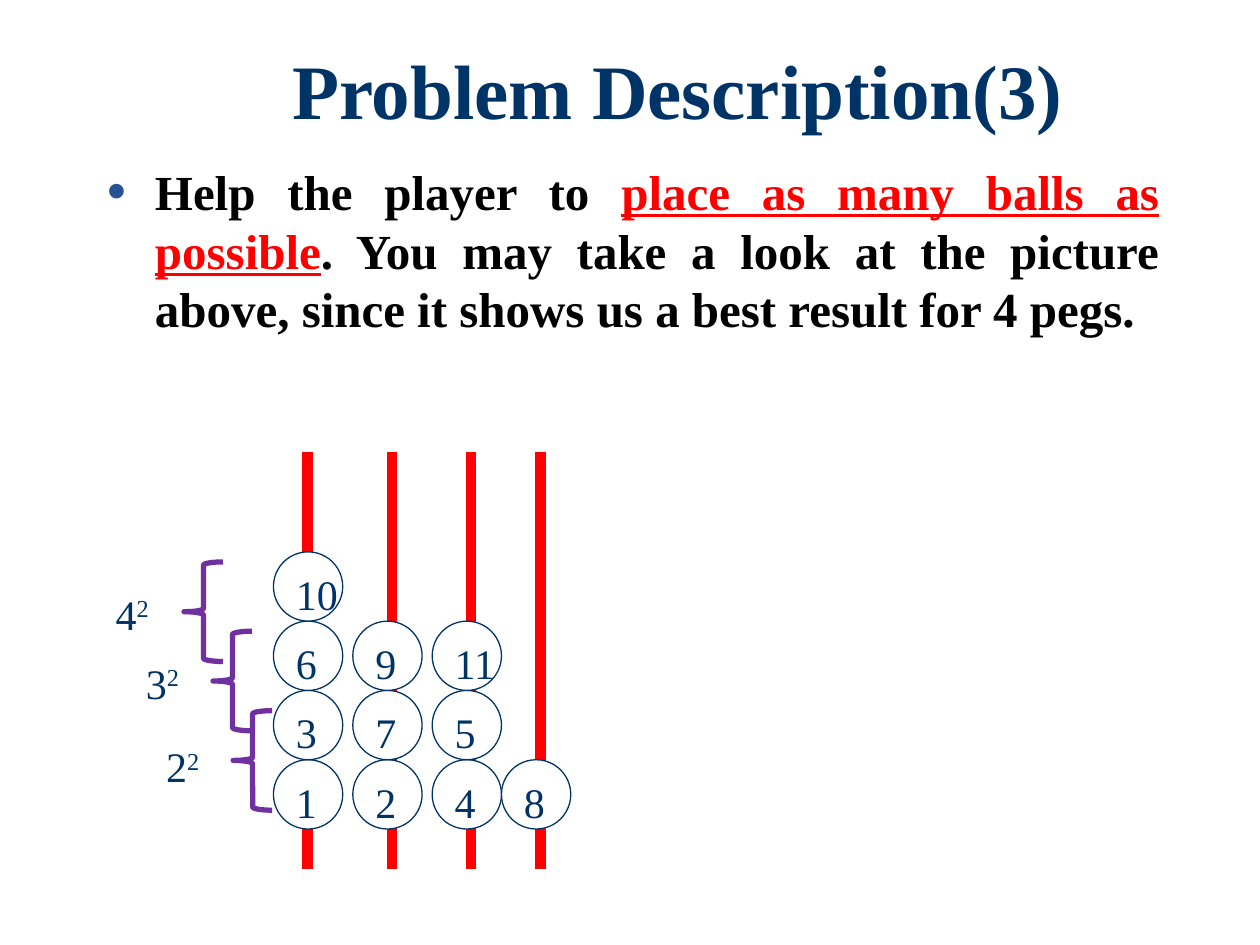
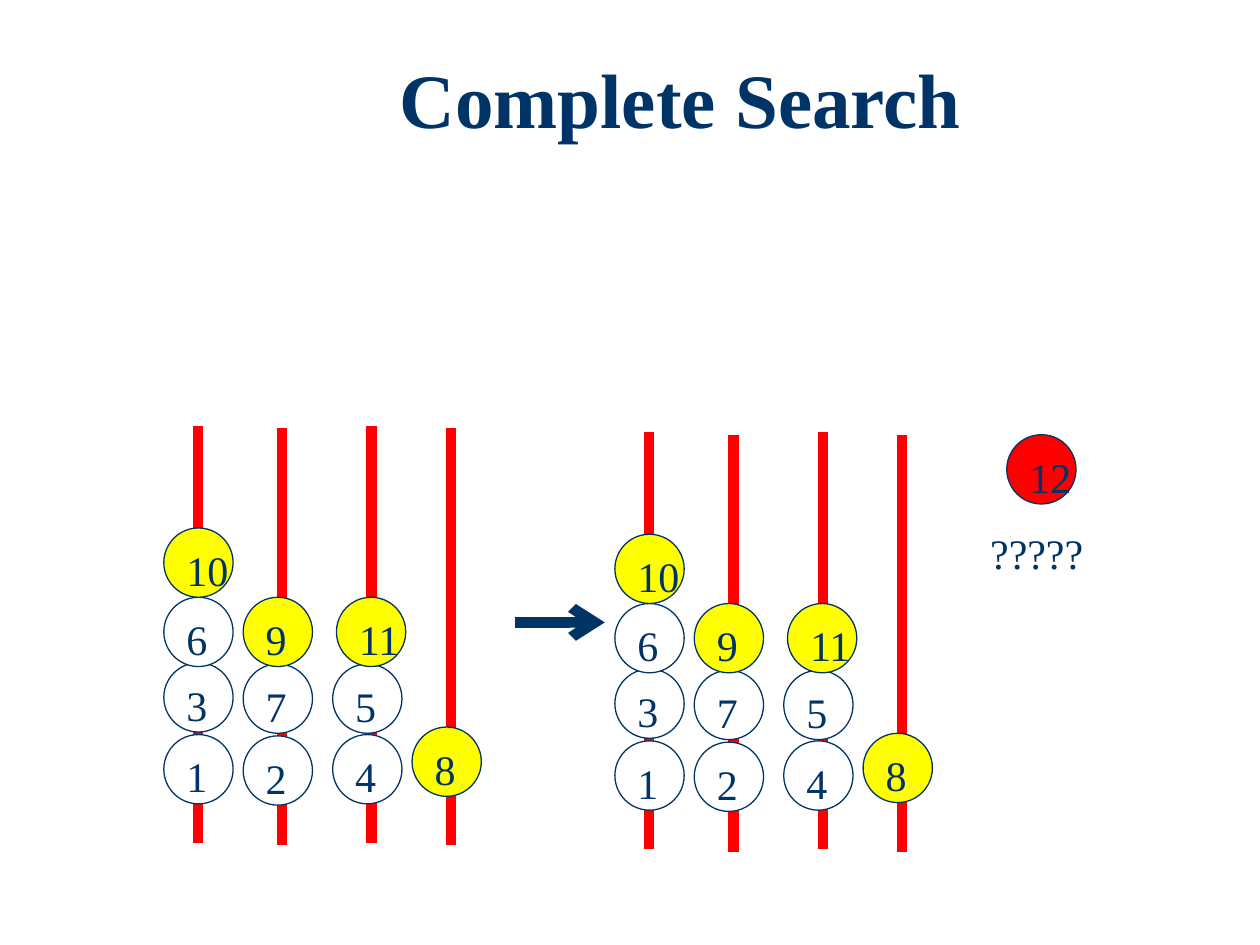
import pptx
import pptx.dml.color
import pptx.enum.shapes
import pptx.enum.text
import pptx.oxml
import pptx.oxml.ns
import pptx.util
import lxml.etree

Inches = pptx.util.Inches
Pt = pptx.util.Pt
qn = pptx.oxml.ns.qn
MSO_SHAPE = pptx.enum.shapes.MSO_SHAPE
PP_ALIGN = pptx.enum.text.PP_ALIGN
MSO_ANCHOR = pptx.enum.text.MSO_ANCHOR

FONT = "Times New Roman"
COLORS = {
    "navy": "003366",
    "black": "000000",
    "red": "FF0000",
    "white": "FFFFFF",
    "yellow": "FFFF00",
    "purple": "7030A0",
    "bullet": "275393",
}
RGB = {name: pptx.dml.color.RGBColor.from_string(value) for name, value in COLORS.items()}
BALL_SIZE = 0.55
PEG_HEIGHT = 3.31


def format_run(run, size, color="navy", bold=False):
    run.font.name = FONT
    run.font.size = Pt(size)
    run.font.bold = bold
    run.font.color.rgb = RGB[color]


def add_line(slide, start, end, color):
    line = slide.shapes.add_connector(
        pptx.enum.shapes.MSO_CONNECTOR.STRAIGHT, *[Inches(v) for v in (*start, *end)])
    line.line.color.rgb = RGB[color]
    line.line.width = Pt(6)
    lxml.etree.SubElement(line._element.spPr, qn("a:effectLst"))
    return line


prs = pptx.Presentation()
prs.slide_width = Inches(10)
prs.slide_height = Inches(7.5)

# Slides and titles: layout 1 has a body, layout 5 only a title
slides = []
for layout, heading, left, top in [
    (1, "Problem Description(3)", 1.38, 0.29),
    (5, "Complete Search", 1.4, 0.36),
]:
    slide = prs.slides.add_slide(prs.slide_layouts[layout])
    title = slide.shapes.title
    title.left, title.top, title.width, title.height = [Inches(v) for v in (left, top, 8, 0.92)]
    title.text_frame.text = heading
    title.text_frame.auto_size = pptx.enum.text.MSO_AUTO_SIZE.NONE
    title.text_frame.vertical_anchor = MSO_ANCHOR.MIDDLE
    title_line = title.text_frame.paragraphs[0]
    title_line.alignment = PP_ALIGN.CENTER
    title_line.line_spacing = 0.9
    format_run(title_line.runs[0], 44, bold=True)
    slides.append(slide)
problem, search = slides

# Task statement
task = problem.placeholders[1]
task.left, task.top, task.width, task.height = [Inches(v) for v in (0.75, 1.23, 8.55, 5.43)]
task.text_frame.auto_size = pptx.enum.text.MSO_AUTO_SIZE.NONE
statement = task.text_frame.paragraphs[0]
statement.alignment = PP_ALIGN.JUSTIFY
statement.space_before = Pt(5.6)
for words, color in [
    ("Help the player to ", "black"),
    ("place as many balls as possible", "red"),
    (". You may take a look at the picture above, since it shows us a best result for 4 pegs. ",
     "black"),
]:
    run = statement.add_run()
    run.text = words
    format_run(run, 28, color, bold=True)
    run.font.underline = color == "red"

# Bullet colour, size and hanging indent
bullet = statement._p.get_or_add_pPr()
bullet.set("marL", str(Inches(0.38)))
bullet.set("indent", str(Inches(-0.38)))
bullet_color = lxml.etree.SubElement(bullet, qn("a:buClr"))
lxml.etree.SubElement(bullet_color, qn("a:srgbClr")).set("val", COLORS["bullet"])
lxml.etree.SubElement(bullet, qn("a:buSzPct")).set("val", "110000")
lxml.etree.SubElement(bullet, qn("a:buChar")).set("char", "•")

# Best result for 4 pegs: balls stacked by column
pegs = [(problem, x, 3.59) for x in (2.44, 3.11, 3.74, 4.29)]
balls = []
for left, stack in [(2.17, (1, 3, 6, 10)), (2.8, (2, 7, 9)), (3.43, (4, 5, 11)), (3.98, (8,))]:
    for row, number in enumerate(stack):
        balls.append((problem, number, left, 6.03 - row * BALL_SIZE, "white"))

# Search state before and after the arrow, the last ball of each peg in yellow
search_pegs = [(1.57, 3.38), (2.24, 3.4), (2.95, 3.38), (3.58, 3.4)]
search_stacks = [
    [(1, 1.3, 5.83), (3, 1.3, 5.26), (6, 1.3, 4.74), (10, 1.3, 4.19)],
    [(2, 1.93, 5.84), (7, 1.93, 5.27), (9, 1.93, 4.74)],
    [(4, 2.64, 5.83), (5, 2.64, 5.27), (11, 2.67, 4.74)],
    [(8, 3.27, 5.77)],
]
for dx, dy in [(0, 0), (3.58, 0.05)]:
    pegs += [(search, x + dx, y + dy) for x, y in search_pegs]
    for stack in search_stacks:
        for number, left, top in stack:
            fill = "yellow" if number == stack[-1][0] else "white"
            balls.append((search, number, left + dx, top + dy, fill))
balls.append((search, 12, 7.99, 3.45, "red"))

# Draw pegs, then balls over them
for slide, x, top in pegs:
    add_line(slide, (x, top), (x, top + PEG_HEIGHT), "red")

for slide, number, left, top, fill in balls:
    ball = slide.shapes.add_shape(MSO_SHAPE.OVAL, Inches(left), Inches(top),
                                  Inches(BALL_SIZE), Inches(BALL_SIZE))
    ball.shadow.inherit = False
    ball.fill.solid()
    ball.fill.fore_color.rgb = RGB[fill]
    ball.line.color.rgb = RGB["navy"]
    ball.line.width = Pt(0.75)
    ball.text_frame.text = str(number)
    ball.text_frame.word_wrap = False
    ball.text_frame.vertical_anchor = MSO_ANCHOR.TOP
    ball.text_frame.paragraphs[0].alignment = PP_ALIGN.LEFT
    format_run(ball.text_frame.paragraphs[0].runs[0], 24)

# Arrow between the two search states
step = add_line(search, (4.09, 4.94), (4.8, 4.94), "navy")
lxml.etree.SubElement(step.line._get_or_add_ln(), qn("a:tailEnd")).set("type", "arrow")

# Braces around neighbouring balls
for left, top in [(1.85, 5.64), (1.69, 5.01), (1.46, 4.46)]:
    brace = problem.shapes.add_shape(MSO_SHAPE.LEFT_BRACE, Inches(left), Inches(top),
                                     Inches(0.31), Inches(0.79))
    brace.shadow.inherit = False
    brace.fill.background()
    brace.line.color.rgb = RGB["purple"]
    brace.line.width = Pt(3)

# Square sums beside the braces, and the open question for ball 12
for slide, left, top, width, base, exponent in [
    (problem, 1.22, 5.83, 0.48, "2", "2"),
    (problem, 1.06, 5.17, 0.48, "3", "2"),
    (problem, 0.82, 4.62, 0.48, "4", "2"),
    (search, 7.76, 4.14, 0.95, "?????", ""),
]:
    label = slide.shapes.add_textbox(Inches(left), Inches(top), Inches(width), Inches(0.5))
    label.text_frame.word_wrap = False
    label.text_frame.auto_size = pptx.enum.text.MSO_AUTO_SIZE.SHAPE_TO_FIT_TEXT
    label.text_frame.text = base
    label_line = label.text_frame.paragraphs[0]
    if exponent:
        power = label_line.add_run()
        power.text = exponent
        power.font._element.set("baseline", "30000")
    for run in label_line.runs:
        format_run(run, 24)

prs.save("out.pptx")
